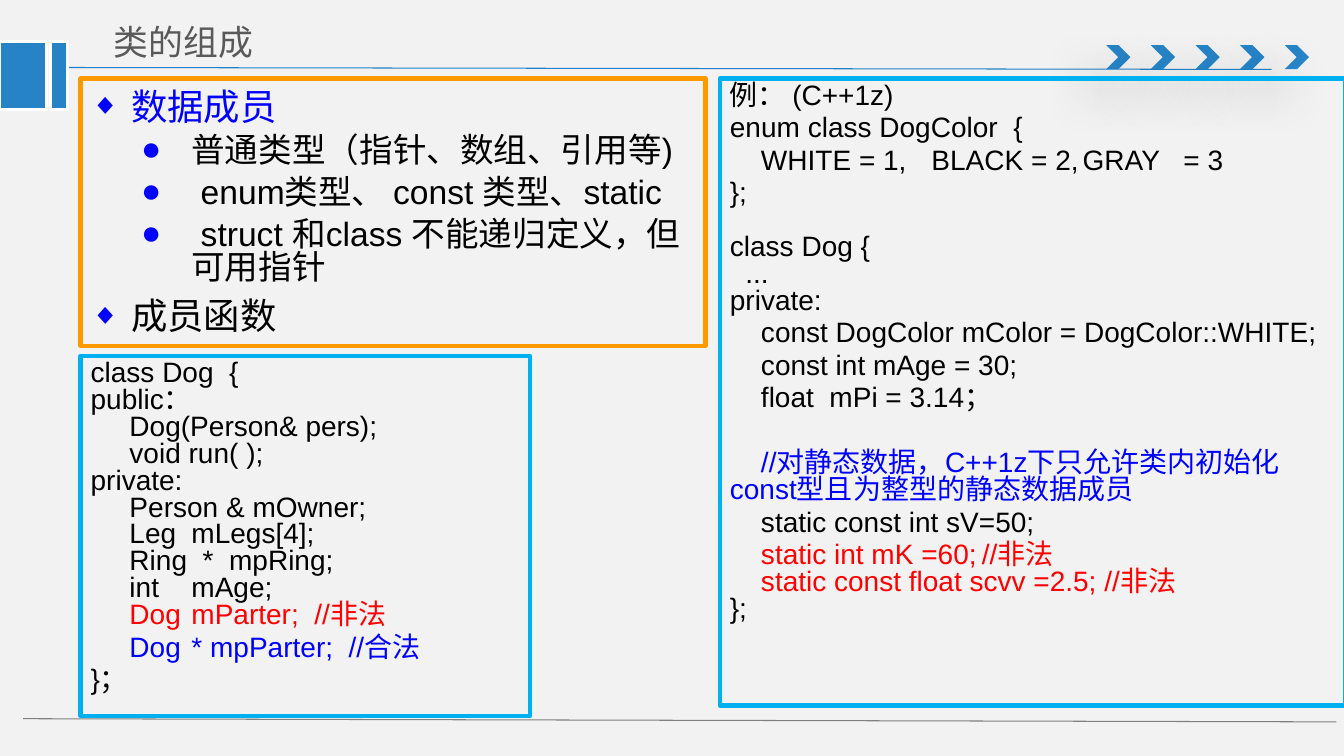
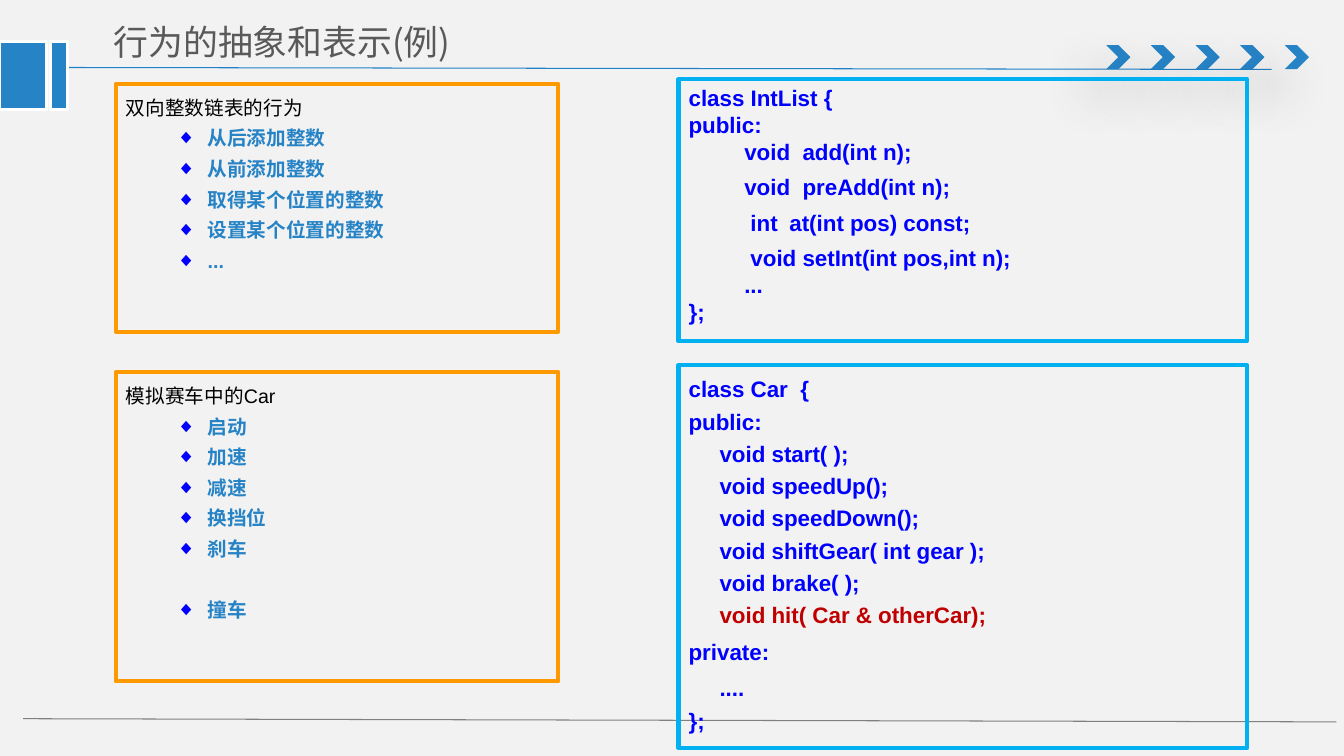
from dataclasses import dataclass, replace
from typing import Optional

from lxml import etree
from pptx import Presentation
from pptx.dml.color import RGBColor
from pptx.enum.shapes import MSO_CONNECTOR, MSO_SHAPE
from pptx.enum.text import MSO_ANCHOR, MSO_AUTO_SIZE, PP_ALIGN
from pptx.oxml.ns import qn
from pptx.util import Cm, Pt

RECTANGLE, CHEVRON = MSO_SHAPE.RECTANGLE, MSO_SHAPE.CHEVRON
STRAIGHT = MSO_CONNECTOR.STRAIGHT
TOP, MIDDLE = MSO_ANCHOR.TOP, MSO_ANCHOR.MIDDLE
LEFT, NO_AUTOFIT = PP_ALIGN.LEFT, MSO_AUTO_SIZE.NONE

# Shared colours and fonts
ACCENT, RULE, GREY, WHITE = "2683C6", "2181C6", "808080", "FFFFFF"
PAGE, TITLE_COLOR, BLACK = "F2F2F2", "595959", "000000"
BLUE, RED, DARK_RED = "0000FF", "FF0000", "C00000"
ORANGE, CYAN = "FF9900", "00B0F0"
LATIN, CJK = "Arial", "Noto Sans CJK SC"


@dataclass(frozen=True)
class Style:
    size: float
    color: str = BLACK
    bold: bool = False
    spacing: float = 1.0
    level: int = 0
    margin: float = 0
    hanging: float = 0
    bullet: str = ""
    bullet_size: int = 100


@dataclass(frozen=True)
class Line:
    text: str
    gap: float = 0
    color: str = ""
    tabs: tuple[float, ...] = ()
    style: Optional[Style] = None


@dataclass(frozen=True)
class Panel:
    left: float
    top: float
    width: float
    height: float
    outline: str
    style: Style
    lines: tuple[Line, ...]


@dataclass(frozen=True)
class Page:
    title: str
    panels: tuple[Panel, ...]


# Text styles
DOG_CODE = Style(20, spacing=0.8)
LIST_CODE = Style(16, BLUE, bold=True)
CAR_CODE = replace(LIST_CODE, spacing=1.2)
MEMBER = Style(26, margin=1.02, hanging=1.02, bullet="◆", bullet_size=80)
DETAIL = Style(24, spacing=0.8, level=1, margin=2.54, hanging=1.27, bullet="●")
HEADING = Style(14, spacing=1.3)
ACTION = Style(14, ACCENT, bold=True, spacing=1.3, level=1,
               margin=2.06, hanging=0.79, bullet="◆")
FIELD_TABS = (3.53,)

# Content
COMPOSITION = Page("类的组成", (
    Panel(2.03, 1.98, 15.75, 6.73, ORANGE, MEMBER, (
        Line("数据成员", color=BLUE),
        Line("普通类型（指针、数组、引用等)", 7, style=DETAIL),
        Line(" enum类型、 const 类型、static", 7, style=DETAIL),
        Line(" struct 和class 不能递归定义，但可用指针", 7, style=DETAIL),
        Line("成员函数", 5.5),
    )),
    Panel(2.03, 8.97, 11.33, 9.07, CYAN, DOG_CODE, (
        Line("class Dog  {"),
        Line("public："),
        Line("     Dog(Person& pers);"),
        Line("     void run( );"),
        Line("private:"),
        Line("     Person & mOwner;"),
        Line("     Leg\tmLegs[4];", tabs=FIELD_TABS),
        Line("     Ring  *  mpRing;"),
        Line("     int\tmAge;", tabs=FIELD_TABS),
        Line("     Dog\tmParter;  //非法", color=RED, tabs=FIELD_TABS),
        Line("     Dog\t* mpParter;  //合法", 4, BLUE, (2.87,)),
        Line("}；", 4),
    )),
    Panel(18.14, 1.98, 15.75, 15.8, CYAN, DOG_CODE, (
        Line("例： (C++1z)"),
        Line("enum class DogColor  {", 4),
        Line("    WHITE = 1,\tBLACK = 2,\tGRAY\t= 3", 4, tabs=(5.24, 9.93, 12.47)),
        Line("};", 4),
        Line("class Dog {", 19.3),
        Line("  ..."),
        Line("private:"),
        Line("    const DogColor mColor = DogColor::WHITE;", 4),
        Line("    const int mAge = 30;", 4),
        Line("    float  mPi = 3.14；", 4),
        Line("    //对静态数据，C++1z下只允许类内初始化const型且为整型的静态数据成员",
             27, BLUE),
        Line("    static const int sV=50;", 4),
        Line("    static int mK =60;\t//非法", 4, RED, (9.35,)),
        Line("    static const float scvv =2.5; //非法", color=RED),
        Line("};"),
    )),
))

BEHAVIOUR = Page("行为的抽象和表示(例)", (
    Panel(2.92, 2.11, 11.15, 6.25, ORANGE, ACTION, (
        Line("双向整数链表的行为", style=HEADING),
        Line("从后添加整数"),
        Line("从前添加整数"),
        Line("取得某个位置的整数"),
        Line("设置某个位置的整数"),
        Line("..."),
    )),
    Panel(17.1, 2, 14.33, 6.6, CYAN, LIST_CODE, (
        Line("class IntList {"),
        Line("public:"),
        Line("         void  add(int n);"),
        Line("         void  preAdd(int n);", 6),
        Line("          int\tat(int pos) const;", 6, tabs=(2.87,)),
        Line("          void setInt(int pos,int n);", 6),
        Line("         ..."),
        Line("};"),
    )),
    Panel(2.92, 9.37, 11.15, 7.8, ORANGE, ACTION, (
        Line("模拟赛车中的Car", style=HEADING),
        Line("启动"),
        Line("加速"),
        Line("减速"),
        Line("换挡位"),
        Line("刹车"),
        Line("撞车", 22),
    )),
    Panel(17.1, 9.2, 14.33, 9.65, CYAN, CAR_CODE, (
        Line("class Car  {"),
        Line("public:"),
        Line("     void start( );"),
        Line("     void speedUp();"),
        Line("     void speedDown();"),
        Line("     void shiftGear( int gear );"),
        Line("     void brake( );"),
        Line("     void hit( Car & otherCar);", color=DARK_RED),
        Line("private:", 3.2),
        Line("     ....", 3.2),
        Line("};"),
    )),
))


def rgb(color: str) -> RGBColor:
    return RGBColor.from_string(color)


def add_xml(parent, tag: str, **attributes):
    return etree.SubElement(parent, qn(tag), attributes)


def place(shape, left: float, top: float, width: float, height: float) -> None:
    shape.left, shape.top = Cm(left), Cm(top)
    shape.width, shape.height = Cm(width), Cm(height)


def add_text(frame, text: str, *, style: Style, color: str = "", gap: float = 0,
             tabs: tuple[float, ...] = (), latin: str = LATIN) -> None:
    """Add one formatted paragraph, filling the empty first one if there is one."""
    paragraph = frame.add_paragraph() if frame.text else frame.paragraphs[0]
    paragraph.alignment = LEFT
    paragraph.level = style.level
    paragraph.line_spacing = style.spacing
    paragraph.space_before = Pt(gap)

    # Indents, bullet and tab stops
    properties = paragraph._p.get_or_add_pPr()
    properties.set("marL", str(Cm(style.margin)))
    properties.set("indent", str(-Cm(style.hanging)))
    if style.bullet:
        add_xml(add_xml(properties, "a:buClr"), "a:srgbClr", val=BLUE)
        add_xml(properties, "a:buSzPct", val=str(style.bullet_size * 1000))
        add_xml(properties, "a:buFont", typeface=LATIN)
        add_xml(properties, "a:buChar", char=style.bullet)
    else:
        add_xml(properties, "a:buNone")
    if tabs:
        stops = add_xml(properties, "a:tabLst")
        for position in tabs:
            add_xml(stops, "a:tab", pos=str(Cm(position)), algn="l")

    run = paragraph.add_run()
    run.text = text
    run.font.size = Pt(style.size)
    run.font.bold = style.bold
    run.font.color.rgb = rgb(color or style.color)
    run.font.name = latin
    add_xml(run._r.get_or_add_rPr(), "a:ea", typeface=CJK)


def add_rule(slide, start: tuple[float, float], end: tuple[float, float], color: str):
    rule = slide.shapes.add_connector(STRAIGHT, *map(Cm, start + end))
    rule.line.color.rgb = rgb(color)
    rule.line.width = Pt(0.75)
    add_xml(rule.element.spPr, "a:effectLst")
    return rule


def add_block(slide, preset, left: float, top: float, width: float, height: float):
    block = slide.shapes.add_shape(preset, *map(Cm, (left, top, width, height)))
    block.shadow.inherit = False
    block.fill.solid()
    block.fill.fore_color.rgb = rgb(ACCENT)
    block.line.fill.background()
    return block


def add_soft_shadow(shape) -> None:
    effects = shape.element.spPr.find(qn("a:effectLst"))
    shadow = add_xml(effects, "a:outerShdw", blurRad=str(Pt(36)), dist=str(Pt(24)),
                     dir=str(130 * 60000), algn="ctr", rotWithShape="0")
    add_xml(add_xml(shadow, "a:srgbClr", val=BLACK), "a:alpha", val="38000")


def decorate_layout(layout, slide) -> None:
    """Draw the shared bands on a slide, then hand them to its layout."""
    decorations = [add_rule(slide, (1.35, 1.7), (32.05, 1.75), RULE)]
    for column in range(5):
        chevron = add_block(slide, CHEVRON, 27.88 + 1.125 * column, 1.14, 0.61, 0.6)
        add_soft_shadow(chevron)
        decorations.append(chevron)
    decorations.append(add_rule(slide, (0.58, 18.11), (33.68, 18.19), GREY))
    for left, width in ((0, 1.17), (1.27, 0.43)):
        tab = add_block(slide, RECTANGLE, left, 1.04, width, 1.73)
        tab.line.color.rgb = rgb(WHITE)
        tab.line.width = Pt(2)
        decorations.append(tab)
    for number, decoration in enumerate(decorations, 100):
        decoration.element.xpath(".//p:cNvPr")[0].set("id", str(number))
        layout.shapes.element.append(decoration.element)


def fill_title(title, text: str) -> None:
    place(title, 2.51, 0.36, 11.76, 1.4)
    frame = title.text_frame
    frame.auto_size, frame.vertical_anchor = NO_AUTOFIT, MIDDLE
    frame.margin_left = frame.margin_right = Cm(0.36)
    frame.margin_top = frame.margin_bottom = Cm(0.18)
    add_text(frame, text, style=Style(24.9, TITLE_COLOR), latin=CJK)


def fill_panel(body, panel: Panel) -> None:
    place(body, panel.left, panel.top, panel.width, panel.height)
    body.line.color.rgb = rgb(panel.outline)
    body.line.width = Pt(3)
    frame = body.text_frame
    frame.auto_size, frame.vertical_anchor = NO_AUTOFIT, TOP
    frame.word_wrap = True
    for line in panel.lines:
        add_text(frame, line.text, style=line.style or panel.style,
                 color=line.color, gap=line.gap, tabs=line.tabs)


def main() -> None:
    deck = Presentation()
    deck.slide_width, deck.slide_height = Cm(33.87), Cm(19.05)
    background = deck.slide_master.background.fill
    background.solid()
    background.fore_color.rgb = rgb(PAGE)
    layout = deck.slide_layouts.get_by_name("Comparison")

    for number, page in enumerate((COMPOSITION, BEHAVIOUR)):
        slide = deck.slides.add_slide(layout)
        if number == 0:
            decorate_layout(layout, slide)
        title, *bodies = slide.placeholders
        fill_title(title, page.title)
        for body, panel in zip(bodies, page.panels):
            fill_panel(body, panel)
        for unused in bodies[len(page.panels):]:
            unused.element.getparent().remove(unused.element)

    deck.save("out.pptx")


if __name__ == "__main__":
    main()
